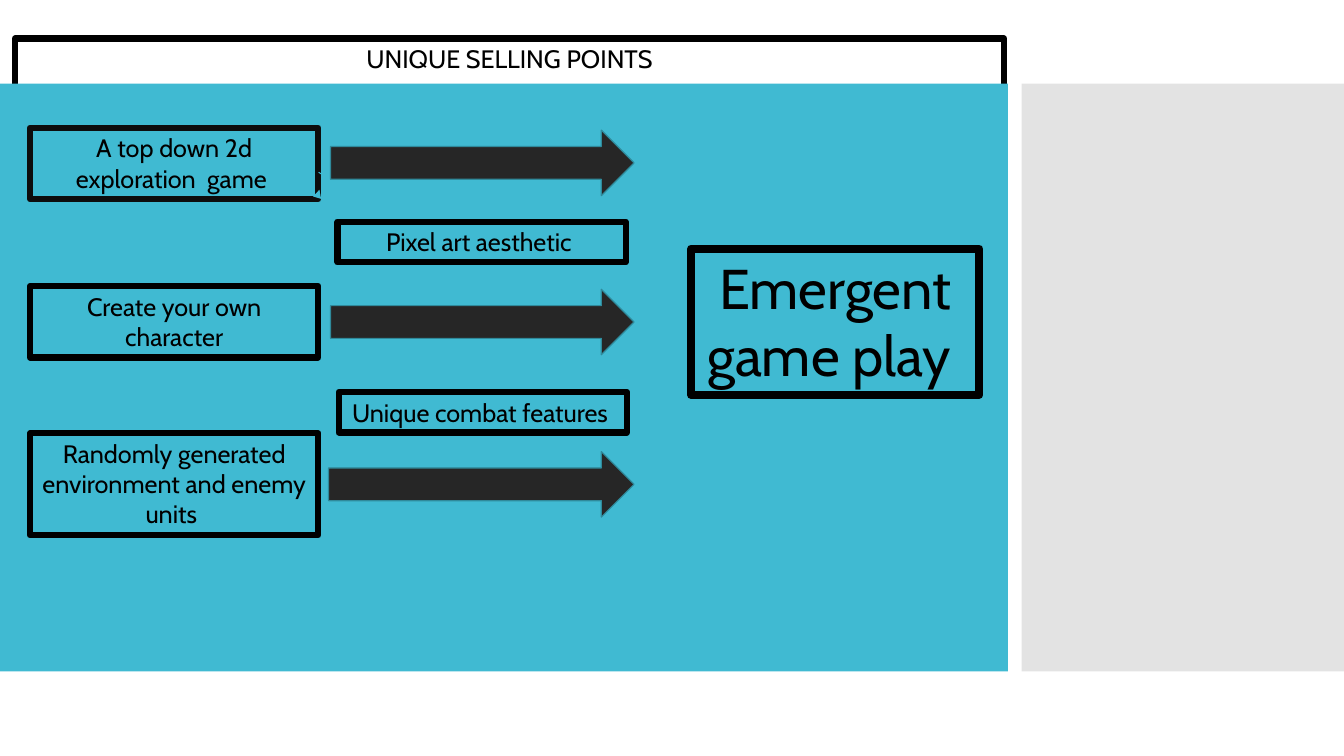
import pptx
import pptx.util
import pptx.dml.color
import pptx.enum.shapes
import pptx.enum.text
import pptx.oxml
import pptx.oxml.ns
from pptx.util import Cm, Pt

SHAPE = pptx.enum.shapes.MSO_SHAPE
TEXT = pptx.enum.text
FONT = "Cabin"
TEAL, BLACK = "40BAD2", "000000"

# Lengths in cm: left, top, width, height
TITLE = ("UNIQUE SELLING POINTS", (0.38, 0.97, 24.92, 1.02))
PANELS = [((0, 2.11, 25.4, 14.81), TEAL, 100),
          ((25.75, 2.11, 8.12, 14.81), "C8C8C8", 50)]
BOX_W = 7.26
# text, left, top, height, size, border colour, border width
BOXES = [
    ("A top down 2d exploration  game ", 0.76, 3.22, 1.8, 18, "0D0D0D", 4.5),
    ("Create your own character", 0.76, 7.21, 1.8, 18, BLACK, 4.5),
    ("Pixel art aesthetic ", 8.51, 5.59, 1.02, 18, BLACK, 4.5),
    ("Randomly generated environment and enemy units ", 0.76, 10.92, 2.57, 18, BLACK, 4.5),
    ("Unique combat features ", 8.54, 9.88, 1.02, 18, BLACK, 4.5),
    ("Emergent game play ", 17.42, 6.27, 3.68, 40, BLACK, 6),
]
POINTERS = [(8.03, 4.85, 8.05, 4.78), (8.03, 4.34, 9.58, 5.36)]
ARROW_RIGHT, ARROW_H = 15.98, 1.65
ARROWS = [(8.33, 3.28), (8.33, 7.29), (8.28, 11.38)]  # left, top


def rgb(value):
    return pptx.dml.color.RGBColor.from_string(value)


def set_line(s, color, width):
    s.line.color.rgb = rgb(color)
    s.line.width = Pt(width)


def add_block(kind, box, fill):
    """Add a filled preset shape without shadow."""
    s = shapes.add_shape(kind, *map(Cm, box))
    s.shadow.inherit = False
    s.fill.solid()
    s.fill.fore_color.rgb = rgb(fill)
    return s


def write_boxed(s, text, size, color, width):
    """Put centred text in a shape and outline it."""
    set_line(s, color, width)
    tf = s.text_frame
    frame = {"word_wrap": True, "auto_size": TEXT.MSO_AUTO_SIZE.SHAPE_TO_FIT_TEXT,
             "vertical_anchor": TEXT.MSO_ANCHOR.TOP}
    for name, value in frame.items():
        setattr(tf, name, value)
    p = tf.paragraphs[0]
    p.alignment = TEXT.PP_ALIGN.CENTER
    r = p.add_run()
    r.text = text
    for name, value in {"name": FONT, "size": Pt(size)}.items():
        setattr(r.font, name, value)
    r.font.color.rgb = rgb(BLACK)


prs = pptx.Presentation()
prs.slide_width, prs.slide_height = Cm(33.87), Cm(19.05)
slide = prs.slides.add_slide(prs.slide_layouts[5])
shapes = slide.shapes

title_text, title_box = TITLE
title = shapes.title
for name, value in zip(("left", "top", "width", "height"), title_box):
    setattr(title, name, Cm(value))
write_boxed(title, title_text, 18, BLACK, 4.5)

for box, fill, opacity in PANELS:
    s = add_block(SHAPE.RECTANGLE, box, fill)
    s.line.fill.background()
    if opacity < 100:
        color = s.fill._xPr.find(".//" + pptx.oxml.ns.qn("a:srgbClr"))
        color.append(pptx.oxml.parse_xml(
            f'<a:alpha {pptx.oxml.ns.nsdecls("a")} val="{opacity * 1000}"/>'))

for text, left, top, height, size, color, width in BOXES:
    s = shapes.add_textbox(Cm(left), Cm(top), Cm(BOX_W), Cm(height))
    write_boxed(s, text, size, color, width)

for ends in POINTERS:
    s = shapes.add_connector(pptx.enum.shapes.MSO_CONNECTOR.STRAIGHT, *map(Cm, ends))
    set_line(s, TEAL, 0.75)
    ns = pptx.oxml.ns.nsdecls("a")
    s.line._get_or_add_ln().append(pptx.oxml.parse_xml(f'<a:tailEnd {ns} type="triangle"/>'))
    s._element.spPr.append(pptx.oxml.parse_xml(f"<a:effectLst {ns}/>"))

for left, top in ARROWS:
    s = add_block(SHAPE.RIGHT_ARROW, (left, top, ARROW_RIGHT - left, ARROW_H), "262626")
    set_line(s, "2F8A9B", 0.85)

prs.save("out.pptx")
